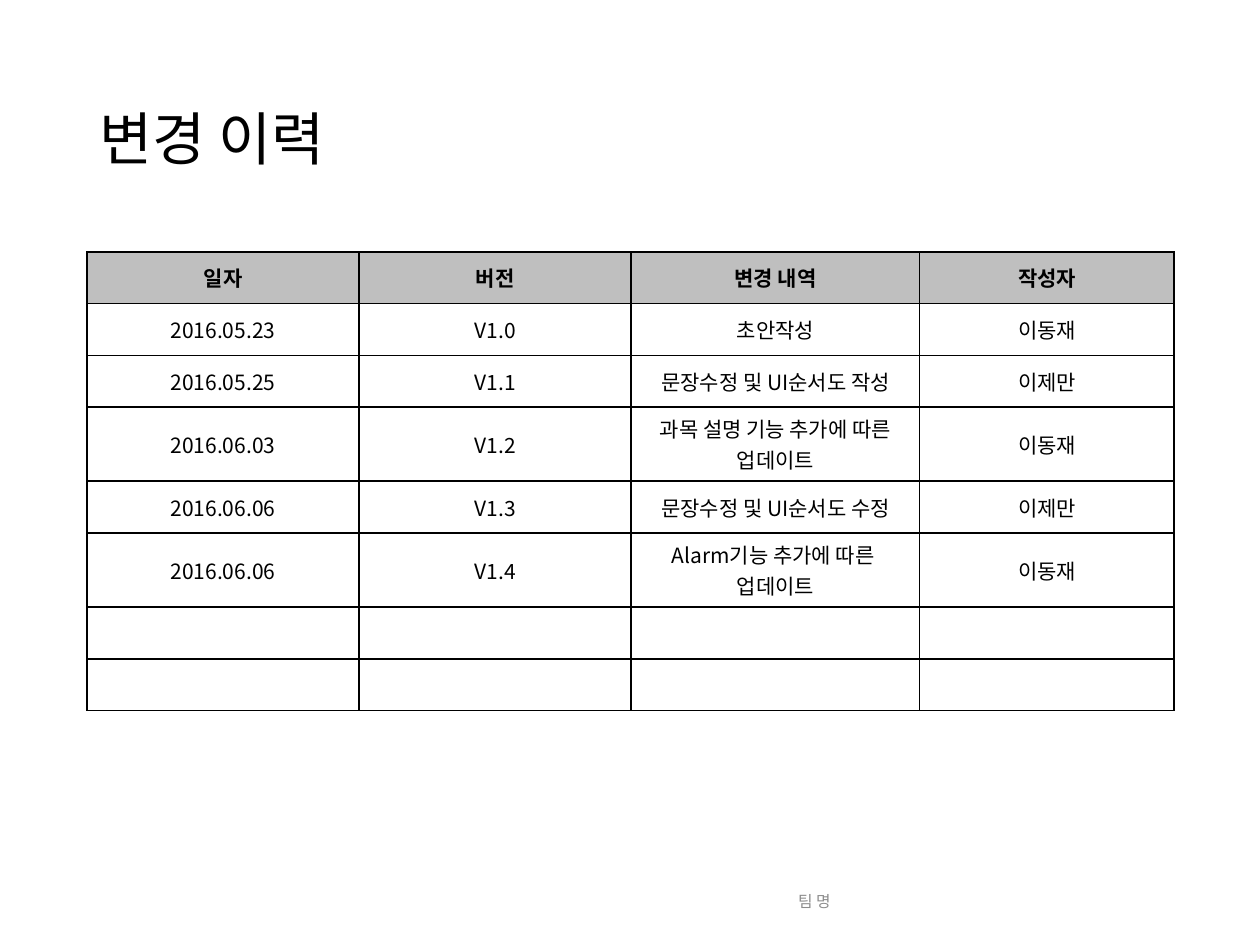
from lxml.etree import SubElement as Sub
from pptx import Presentation
from pptx.dml.color import RGBColor
from pptx.enum.text import MSO_ANCHOR as Anchor, PP_ALIGN as Align
from pptx.oxml.ns import qn
from pptx.util import Inches, Pt

# Content
FONT = "Noto Sans CJK KR"
TITLE = "변경 이력"
FOOTER = "팀 명"
HEAD = ("일자", "버전", "변경 내역", "작성자")
LOG = [
    ("2016.05.23", "V1.0", "초안작성", "이동재"),
    ("2016.05.25", "V1.1", "문장수정 및 UI순서도 작성", "이제만"),
    ("2016.06.03", "V1.2", "과목 설명 기능 추가에 따른 업데이트", "이동재"),
    ("2016.06.06", "V1.3", "문장수정 및 UI순서도 수정", "이제만"),
    ("2016.06.06", "V1.4", "Alarm기능 추가에 따른 \n업데이트", "이동재"),
]
SPARE = 2  # empty rows for later changes
WIDTHS = (2.16, 2.16, 2.29, 2.02)
ROW_H, TALL_H = 0.41, 0.59
TALL = ("V1.2", "V1.4")  # versions with a two-line description


def color(hex_str):
    return RGBColor.from_string(hex_str)


def write(frame, text, size, hue, align, bold=False):
    for i, line in enumerate(text.split("\n")):
        para = frame.paragraphs[0] if i == 0 else frame.add_paragraph()
        para.alignment = align
        if not line:  # keeps an empty row from growing
            Sub(para._p, qn("a:endParaRPr"), sz=str(size * 100))
            continue
        run = para.add_run()
        run.text = line
        font = run.font
        font.name, font.size, font.bold = FONT, Pt(size), bold
        font.color.rgb = color(hue)
        Sub(font._element, qn("a:ea"), typeface=FONT)


def add_text(box, text, size, hue, align):
    frame = slide.shapes.add_textbox(*map(Inches, box)).text_frame
    frame.word_wrap = True
    frame.vertical_anchor = Anchor.MIDDLE
    write(frame, text, size, hue, align)
    return frame


def set_border(cell, hue, width):
    props = cell._tc.get_or_add_tcPr()
    for i, side in enumerate(("lnL", "lnR", "lnT", "lnB")):
        line = props.makeelement(qn("a:" + side), {"w": str(Pt(width))})
        fill = Sub(line, qn("a:solidFill"))
        Sub(fill, qn("a:srgbClr"), val=hue)
        props.insert(i, line)  # borders come before the fill


prs = Presentation()
prs.slide_width, prs.slide_height = Inches(10), Inches(7.5)
slide = prs.slides.add_slide(prs.slide_layouts[6])

# Title
title = add_text((0.69, 0.4, 8.62, 1.45), TITLE, 33, "000000", Align.LEFT)
title.paragraphs[0].line_spacing = 0.9

# Change log table
rows = [HEAD, *LOG] + [("",) * len(HEAD)] * SPARE
heights = [TALL_H if row[1] in TALL else ROW_H for row in rows]
box = (0.69, 2, sum(WIDTHS), sum(heights))
table = slide.shapes.add_table(len(rows), len(HEAD), *map(Inches, box)).table
for col, width in zip(table.columns, WIDTHS):
    col.width = Inches(width)
for r, row in enumerate(rows):
    table.rows[r].height = Inches(heights[r])
    for c, text in enumerate(row):
        cell = table.cell(r, c)
        cell.vertical_anchor = Anchor.MIDDLE
        cell.fill.solid()
        cell.fill.fore_color.rgb = color("FFFFFF" if r else "BFBFBF")
        set_border(cell, "000000", 1)
        write(cell.text_frame, text, 12, "000000", Align.CENTER, r == 0)

# Footer
add_text((3.31, 6.95, 3.38, 0.4), FOOTER, 9, "8C8C8C", Align.RIGHT)

prs.save("out.pptx")
